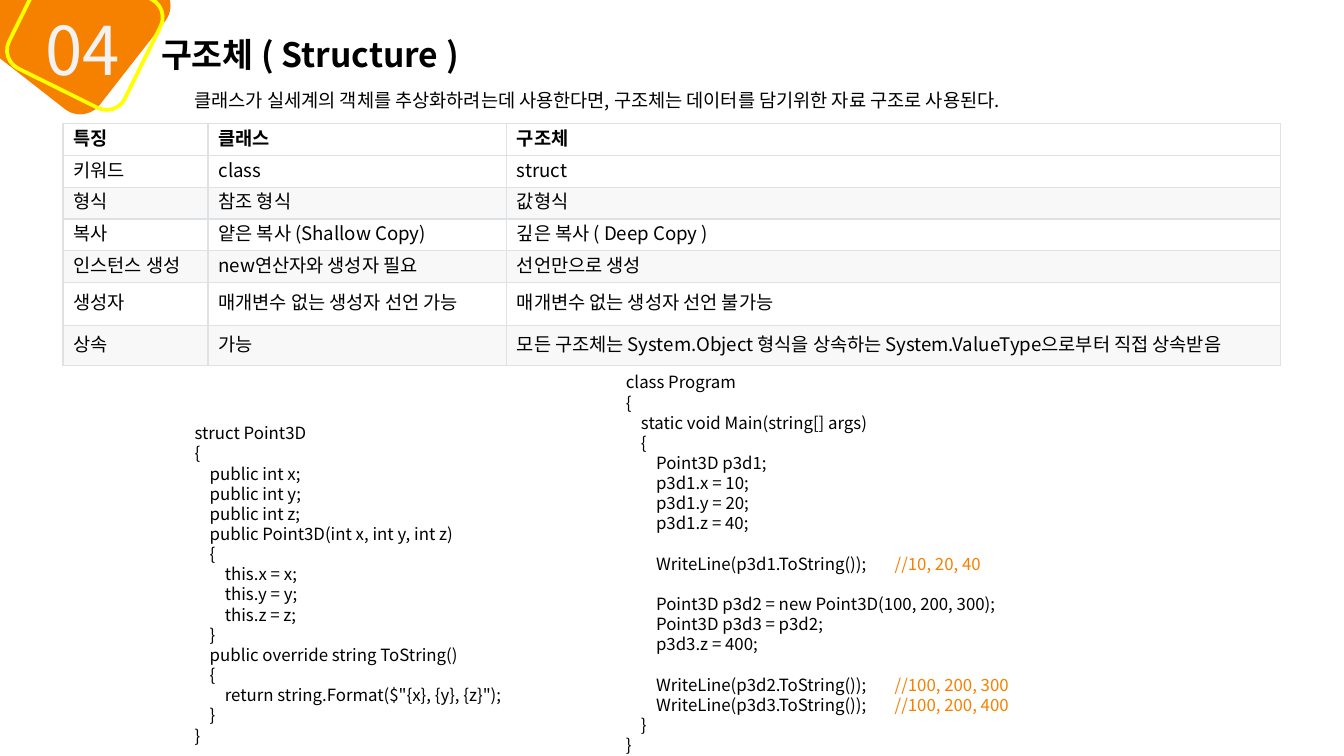
from lxml import etree
from pptx import Presentation
from pptx.dml.color import RGBColor
from pptx.enum.shapes import MSO_SHAPE
from pptx.enum.text import MSO_ANCHOR, PP_ALIGN
from pptx.oxml.ns import qn
from pptx.util import Cm, Pt

ROUNDED = MSO_SHAPE.ROUNDED_RECTANGLE
TOP, MIDDLE = MSO_ANCHOR.TOP, MSO_ANCHOR.MIDDLE
LEFT = PP_ALIGN.LEFT

FONT = "Noto Sans CJK KR"
LINE_RATIO = 1.2
BLACK = RGBColor(0x00, 0x00, 0x00)
WHITE = RGBColor(0xFF, 0xFF, 0xFF)
BAND = RGBColor(0xF8, 0xF8, 0xF8)
PALE = RGBColor(0xF2, 0xF2, 0xF2)
ORANGE = RGBColor(0xF6, 0x81, 0x00)
YELLOW = RGBColor(0xFF, 0xFF, 0x00)
BORDER = RGBColor(0xDF, 0xE2, 0xE5)

# Content
NUMBER = "04"
TITLE = "구조체 ( Structure )"
SUMMARY = "클래스가 실세계의 객체를 추상화하려는데 사용한다면, 구조체는 데이터를 담기위한 자료 구조로 사용된다."

COMPARISON = [
    ("특징", "클래스", "구조체"),
    ("키워드", "class", "struct"),
    ("형식", "참조 형식", "값형식"),
    ("복사", "얕은 복사 (Shallow Copy)", "깊은 복사 ( Deep Copy )"),
    ("인스턴스 생성", "new연산자와 생성자 필요", "선언만으로 생성"),
    ("생성자", "매개변수 없는 생성자 선언 가능", "매개변수 없는 생성자 선언 불가능"),
    ("상속", "가능",
     "모든 구조체는 System.Object 형식을 상속하는 System.ValueType으로부터 직접 상속받음"),
]
COLUMN_WIDTHS = [2.74, 5.64, 14.63]
ROW_HEIGHTS = [0.6] * 5 + [0.81, 0.76]

STRUCT_CODE = """struct Point3D
{
    public int x;
    public int y;
    public int z;
    public Point3D(int x, int y, int z)
    {
        this.x = x;
        this.y = y;
        this.z = z;
    }
    public override string ToString()
    {
        return string.Format($"{x}, {y}, {z}");
    }
}"""

PROGRAM_CODE = """class Program
{
    static void Main(string[] args)
    {
        Point3D p3d1;
        p3d1.x = 10;
        p3d1.y = 20;
        p3d1.z = 40;

        WriteLine(p3d1.ToString());\t//10, 20, 40

        Point3D p3d2 = new Point3D(100, 200, 300);
        Point3D p3d3 = p3d2;
        p3d3.z = 400;

        WriteLine(p3d2.ToString());\t//100, 200, 300
        WriteLine(p3d3.ToString());\t//100, 200, 400
    }
}"""


def box(left, top, width, height):
    return Cm(left), Cm(top), Cm(width), Cm(height)


def add_run(paragraph, text, size, color=BLACK, bold=False):
    run = paragraph.add_run()
    run.text = text
    font = run.font
    font.name, font.size, font.bold = FONT, Pt(size), bold
    font.color.rgb = color
    # Korean letters take the East Asian typeface
    etree.SubElement(font._element, qn("a:ea"), typeface=FONT)


def set_line(paragraph, size):
    paragraph.alignment = LEFT
    paragraph.line_spacing = Pt(size * LINE_RATIO)


def write(frame, text, size, color=BLACK, bold=False):
    frame.word_wrap = True
    paragraph = frame.paragraphs[0]
    set_line(paragraph, size)
    add_run(paragraph, text, size, color, bold)


def add_code(shapes, code, place, size=9):
    frame = shapes.add_textbox(*place).text_frame
    frame.word_wrap = True
    first, gap = True, False
    for line in code.split("\n"):
        if not line:
            gap = True
            continue
        paragraph = frame.paragraphs[0] if first else frame.add_paragraph()
        set_line(paragraph, size)
        if gap:
            paragraph.space_before = Pt(size * LINE_RATIO)
        statement, tab, comment = line.partition("\t")
        add_run(paragraph, statement + tab, size)
        if comment:
            add_run(paragraph, comment, size, ORANGE)
        first, gap = False, False


def add_borders(cell, color, width):
    properties = cell._tc.get_or_add_tcPr()
    for position, side in enumerate(("lnL", "lnR", "lnT", "lnB")):
        line = etree.Element(qn(f"a:{side}"), w=str(int(width)))
        fill = etree.SubElement(line, qn("a:solidFill"))
        etree.SubElement(fill, qn("a:srgbClr"), val=str(color))
        properties.insert(position, line)


def add_badge(shapes):
    badge = shapes.add_group_shape().shapes
    plate = badge.add_shape(ROUNDED, *box(-0.08, -1.09, 2.95, 2.82))
    plate.rotation = 308
    plate.fill.solid()
    plate.fill.fore_color.rgb = ORANGE
    plate.line.fill.background()
    outline = badge.add_shape(ROUNDED, *box(0.46, -0.58, 2.29, 2.44))
    outline.rotation = 296.3
    outline.fill.background()
    outline.line.color.rgb = YELLOW
    outline.line.width = Pt(2)
    for shape in (plate, outline):
        shape.shadow.inherit = False
    number = badge.add_textbox(*box(0.61, 0.03, 2.21, 1.8))
    write(number.text_frame, NUMBER, 36, PALE)


def add_comparison(shapes):
    place = box(1.19, 2.34, sum(COLUMN_WIDTHS), sum(ROW_HEIGHTS))
    table = shapes.add_table(len(COMPARISON), len(COLUMN_WIDTHS), *place).table
    table.horz_banding = False
    for column, width in zip(table.columns, COLUMN_WIDTHS):
        column.width = Cm(width)
    for index, texts in enumerate(COMPARISON):
        table.rows[index].height = Cm(ROW_HEIGHTS[index])
        banded = index > 0 and index % 2 == 0
        for cell, text in zip(table.rows[index].cells, texts):
            cell.margin_left = cell.margin_right = Cm(0.2)
            cell.margin_top = cell.margin_bottom = Cm(0.08)
            cell.vertical_anchor = MIDDLE
            cell.fill.solid()
            cell.fill.fore_color.rgb = BAND if banded else WHITE
            add_borders(cell, BORDER, Pt(0.75))
            write(cell.text_frame, text, 10, bold=index == 0)


def main():
    deck = Presentation()
    deck.slide_width, deck.slide_height = Cm(25.4), Cm(14.29)
    slide = deck.slides.add_slide(deck.slide_layouts[5])
    shapes = slide.shapes

    # Heading
    add_badge(shapes)
    title = shapes.title
    title.left, title.top, title.width, title.height = box(2.79, 0.51, 7, 1.02)
    title.text_frame.vertical_anchor = TOP
    write(title.text_frame, TITLE, 18, bold=True)
    summary = shapes.add_textbox(*box(3.43, 1.55, 17.6, 1.12))
    write(summary.text_frame, SUMMARY, 10)

    # Comparison and code samples
    add_comparison(shapes)
    add_code(shapes, STRUCT_CODE, box(3.43, 7.87, 7.37, 6.4))
    add_code(shapes, PROGRAM_CODE, box(11.58, 6.91, 7.98, 7.57))

    deck.save("out.pptx")


if __name__ == "__main__":
    main()
